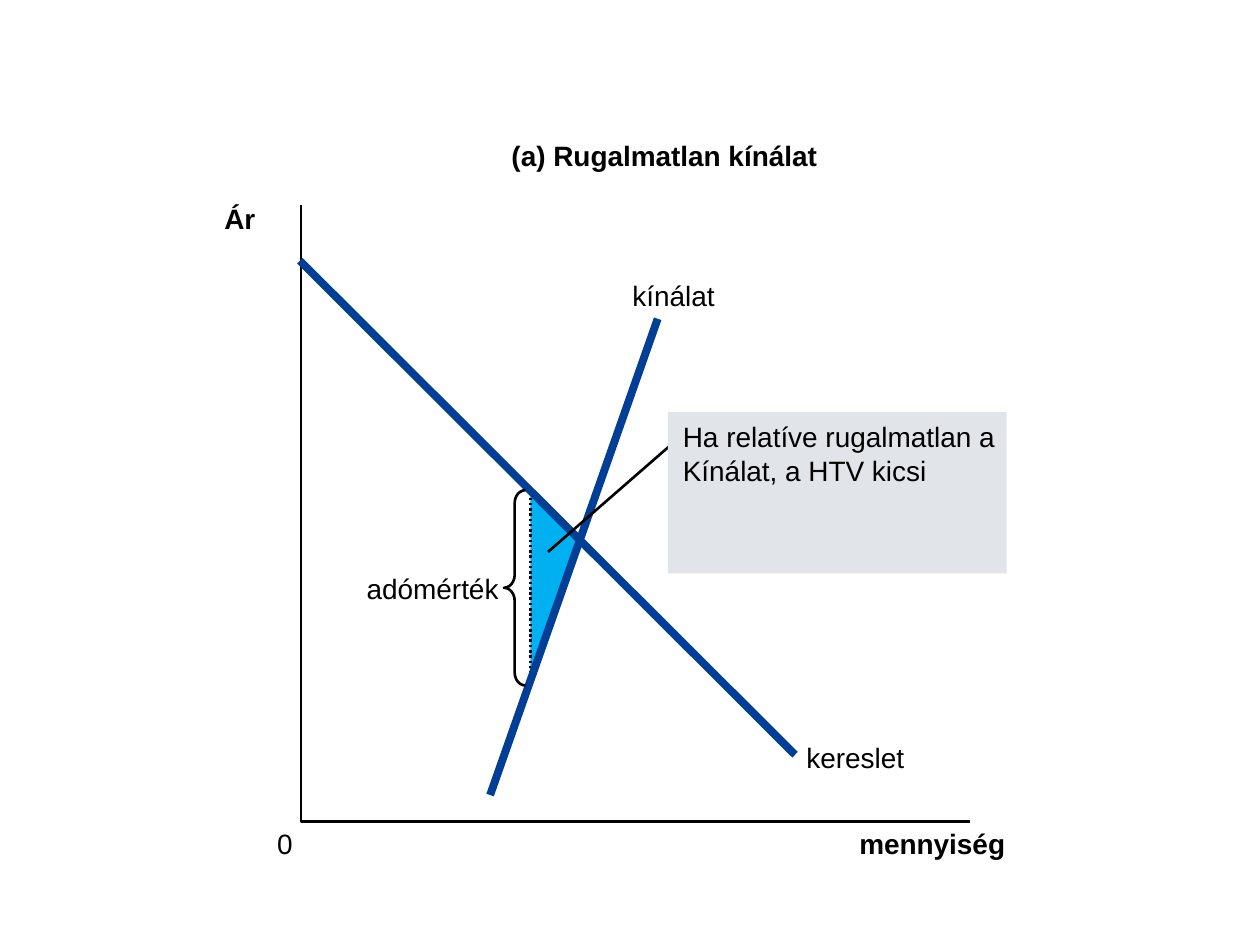
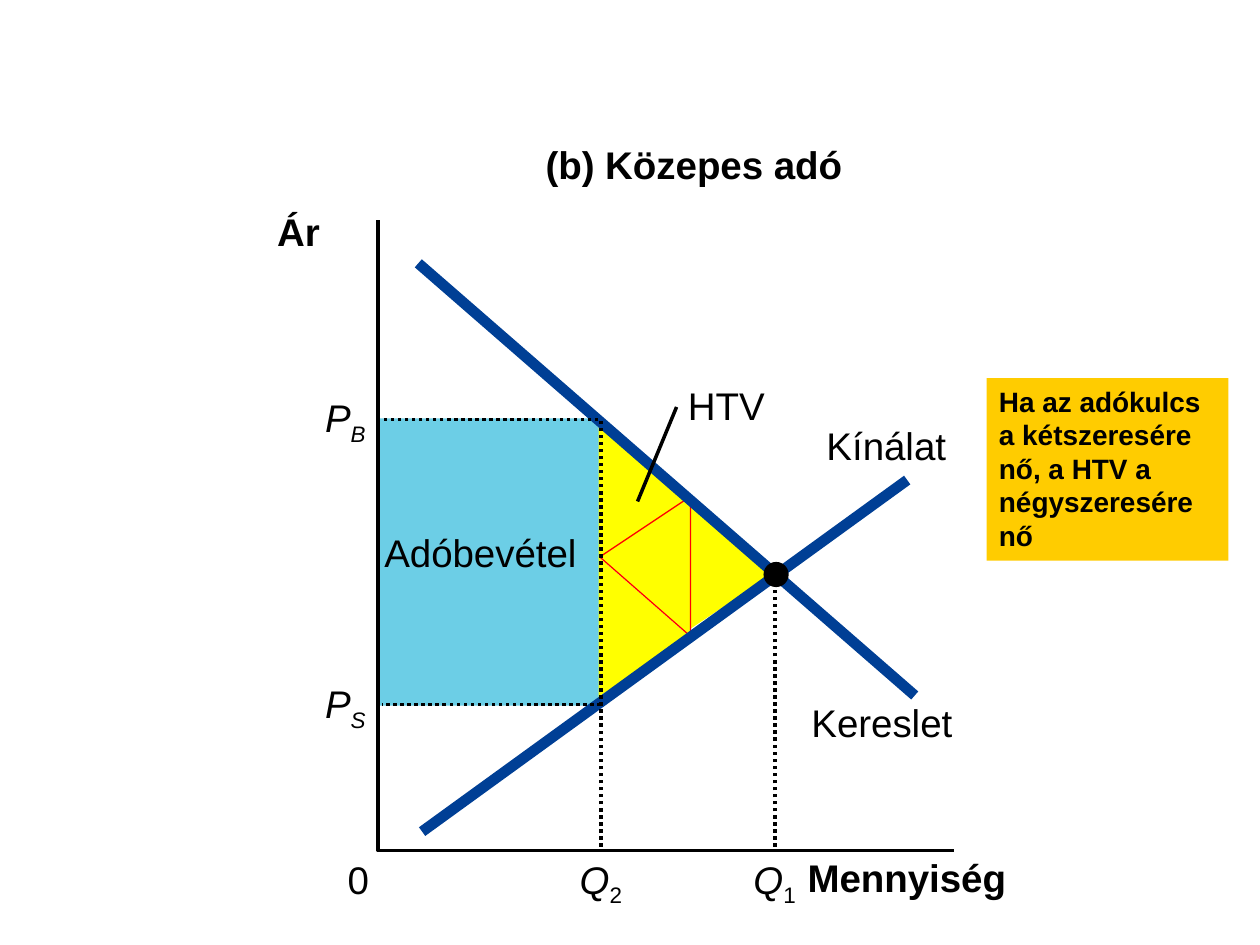
import dataclasses

import lxml.etree
import pptx
import pptx.dml.color
import pptx.enum.dml
import pptx.enum.shapes
import pptx.enum.text
import pptx.oxml.ns
import pptx.util

Inches = pptx.util.Inches
Pt = pptx.util.Pt
KIND = pptx.enum.shapes.MSO_SHAPE


@dataclasses.dataclass(frozen=True)
class Theme:
    face: str = "Arial"
    ink: str = "000000"
    curve: str = "003F95"
    loss: str = "00B0F0"
    yellow: str = "FFFF00"
    red: str = "FF0000"
    income: str = "6CCEE6"
    grey: str = "E1E5E9"
    gold: str = "FFCC00"
    small: int = 16
    large: int = 22


THEME = Theme()
BOLD = {"bold": True}
SLANT = {"italic": True}


def rgb(code):
    return pptx.dml.color.RGBColor.from_string(code)


# Formatting
def set_all(thing, values):
    for name, value in values.items():
        setattr(thing, name, value)


def set_line(line, color, width, dotted=False):
    line.color.rgb = rgb(color)
    line.width = Pt(width)
    if dotted:
        line.dash_style = pptx.enum.dml.MSO_LINE.ROUND_DOT


def paint(shape, fill=None, color=None, width=None):
    shape.shadow.inherit = False
    if fill:
        shape.fill.solid()
        shape.fill.fore_color.rgb = rgb(fill)
    else:
        shape.fill.background()
    if color:
        set_line(shape.line, color, width)
    else:
        shape.line.fill.background()
    return shape


def add_run(para, words, size, style, base=None):
    run = para.add_run()
    run.text = words
    set_all(run.font, {"name": THEME.face, "size": Pt(size), **style})
    run.font.color.rgb = rgb(THEME.ink)
    if base:
        run.font._element.set("baseline", str(base))


# Kinds of element
def add_label(slide, box, words, size, style={}, sub=None, low={}):
    """Place a tight text box; sub is an optional subscript."""
    frame = slide.shapes.add_textbox(*map(Inches, box)).text_frame
    set_all(frame, dict.fromkeys(
        ("margin_left", "margin_top", "margin_right", "margin_bottom"), 0))
    set_all(frame, {"word_wrap": False,
                    "auto_size": pptx.enum.text.MSO_AUTO_SIZE.SHAPE_TO_FIT_TEXT})
    for row, line in enumerate(words.split("\n")):
        para = frame.add_paragraph() if row else frame.paragraphs[0]
        add_run(para, line, size, style)
    if sub:
        add_run(para, sub, size, low, -25000)


def add_line(slide, start, end, color, width, dotted=False):
    link = slide.shapes.add_connector(
        pptx.enum.shapes.MSO_CONNECTOR.STRAIGHT, *map(Inches, (*start, *end)))
    set_line(link.line, color, width, dotted)
    lxml.etree.SubElement(link._element.spPr, pptx.oxml.ns.qn("a:effectLst"))


def add_path(slide, points, closed=True, **look):
    first, *rest = [tuple(map(Inches, point)) for point in points]
    pen = slide.shapes.build_freeform(*first)
    pen.add_line_segments(rest, close=closed)
    return paint(pen.convert_to_shape(), **look)


def add_form(slide, kind, box, **look):
    return paint(slide.shapes.add_shape(kind, *map(Inches, box)), **look)


def add_axes(slide, left, top, right, base, width):
    add_path(slide, [(left, top), (left, base), (right, base)],
             closed=False, color=THEME.ink, width=width)


# Slides
def draw_supply(slide):
    size, ink = THEME.small, THEME.ink
    high, low, cross = (4.21, 3.89), (4.21, 5.43), (4.61, 4.29)
    add_path(slide, [high, low, cross], fill=THEME.loss)
    add_line(slide, low, high, ink, 1.5, dotted=True)
    add_axes(slide, 2.39, 1.63, 7.7, 6.52, 1.5)

    for box, words, style in (
        ((4.06, 1.1, 2.46, 0.27), "(a) Rugalmatlan kínálat", BOLD),
        ((1.78, 1.6, 0.25, 0.27), "Ár", BOLD),
        ((2.2, 6.56, 0.12, 0.27), "0", {}),
        ((6.82, 6.56, 1.17, 0.27), "mennyiség", BOLD),
        ((6.4, 5.88, 0.78, 0.27), "kereslet", {}),
        ((5.02, 2.21, 0.66, 0.27), "kínálat", {}),
        ((2.91, 4.54, 1.06, 0.27), "adómérték", {}),
    ):
        add_label(slide, box, words, size, style)

    # Demand and supply curves
    add_line(slide, (6.31, 5.99), (2.38, 2.07), THEME.curve, 4.5)
    add_line(slide, (5.22, 2.53), (3.89, 6.31), THEME.curve, 4.5)

    # Tax brace and remark
    brace = add_form(slide, KIND.LEFT_BRACE, (4, 3.89, 0.17, 1.55),
                     color=ink, width=1.5)
    brace.adjustments[0] = 0.6
    add_line(slide, (5.36, 3.5), (4.35, 4.38), ink, 1.5)
    add_form(slide, KIND.RECTANGLE, (5.3, 3.27, 2.69, 1.28), fill=THEME.grey)
    add_label(slide, (5.42, 3.33, 2.57, 0.94),
              "Ha relatíve rugalmatlan a\nKínálat, a HTV kicsi", size)


def draw_tax(slide):
    size, ink = THEME.large, THEME.ink
    # Revenue area and axes
    add_form(slide, KIND.RECTANGLE, (3, 3.32, 1.77, 2.28), fill=THEME.income)
    add_axes(slide, 3, 1.75, 7.57, 6.75, 2)

    # Deadweight loss: three equal triangles around a turned one
    for left, top in ((5.42, 3.92), (4.75, 4.42), (4.75, 3.33)):
        add_path(slide, [(left, top), (left, top + 1.11),
                         (left + 0.72, top + 0.63)], fill=THEME.yellow)
    add_path(slide, [(5.48, 5.05), (5.48, 3.94), (4.76, 4.42)],
             fill=THEME.yellow, color=THEME.red, width=0.75)

    # Supply and demand curves
    add_line(slide, (7.2, 3.81), (3.35, 6.6), THEME.curve, 6.13)
    add_line(slide, (3.32, 2.09), (7.26, 5.52), THEME.curve, 6.13)

    # Dotted guides
    guide = add_path(slide, [(4.77, 6.72), (4.77, 3.33), (3.03, 3.33)],
                     closed=False)
    set_line(guide.line, ink, 2, dotted=True)
    add_line(slide, (4.77, 5.59), (3.03, 5.59), ink, 2, dotted=True)
    add_line(slide, (6.15, 6.72), (6.15, 4.58), ink, 2, dotted=True)
    add_form(slide, KIND.OVAL, (6.06, 4.46, 0.2, 0.2), fill=ink)
    add_line(slide, (5.37, 3.23), (5.06, 3.98), ink, 2)

    for left, top, width, words, style in (
        (3.05, 4.2, 1.55, "Adóbevétel", {}),
        (6.41, 6.78, 1.6, "Mennyiség", BOLD),
        (2.76, 6.79, 0.17, "0", {}),
        (2.2, 1.65, 0.34, "Ár", BOLD),
        (4.33, 1.12, 2.39, "(b) Közepes adó", BOLD),
        (6.56, 3.35, 0.96, "Kínálat", {}),
        (6.44, 5.55, 1.13, "Kereslet", {}),
        (5.46, 3.03, 0.62, "HTV", {}),
    ):
        add_label(slide, (left, top, width, 0.37), words, size, style)

    # Prices and amounts with subscripts
    for left, top, words, sub, low in (
        (2.58, 3.13, "P", "B", SLANT),
        (2.58, 5.4, "P", "S", SLANT),
        (4.6, 6.79, "Q", "2", {}),
        (5.98, 6.79, "Q", "1", {}),
    ):
        add_label(slide, (left, top, 0.35, 0.37), words, size, SLANT, sub, low)

    # Remark
    note = add_form(slide, KIND.RECTANGLE, (7.83, 3, 1.92, 1.45),
                    fill=THEME.gold)
    frame = note.text_frame
    set_all(frame, {"word_wrap": True,
                    "vertical_anchor": pptx.enum.text.MSO_ANCHOR.TOP})
    para = frame.paragraphs[0]
    para.alignment = pptx.enum.text.PP_ALIGN.LEFT
    add_run(para, "Ha az adókulcs a kétszeresére nő, a HTV a négyszeresére nő",
            THEME.small, BOLD)


def main():
    deck = pptx.Presentation()
    set_all(deck, {"slide_width": Inches(10), "slide_height": Inches(7.5)})
    for draw in (draw_supply, draw_tax):
        draw(deck.slides.add_slide(deck.slide_layouts[6]))
    deck.save("out.pptx")


if __name__ == "__main__":
    main()
